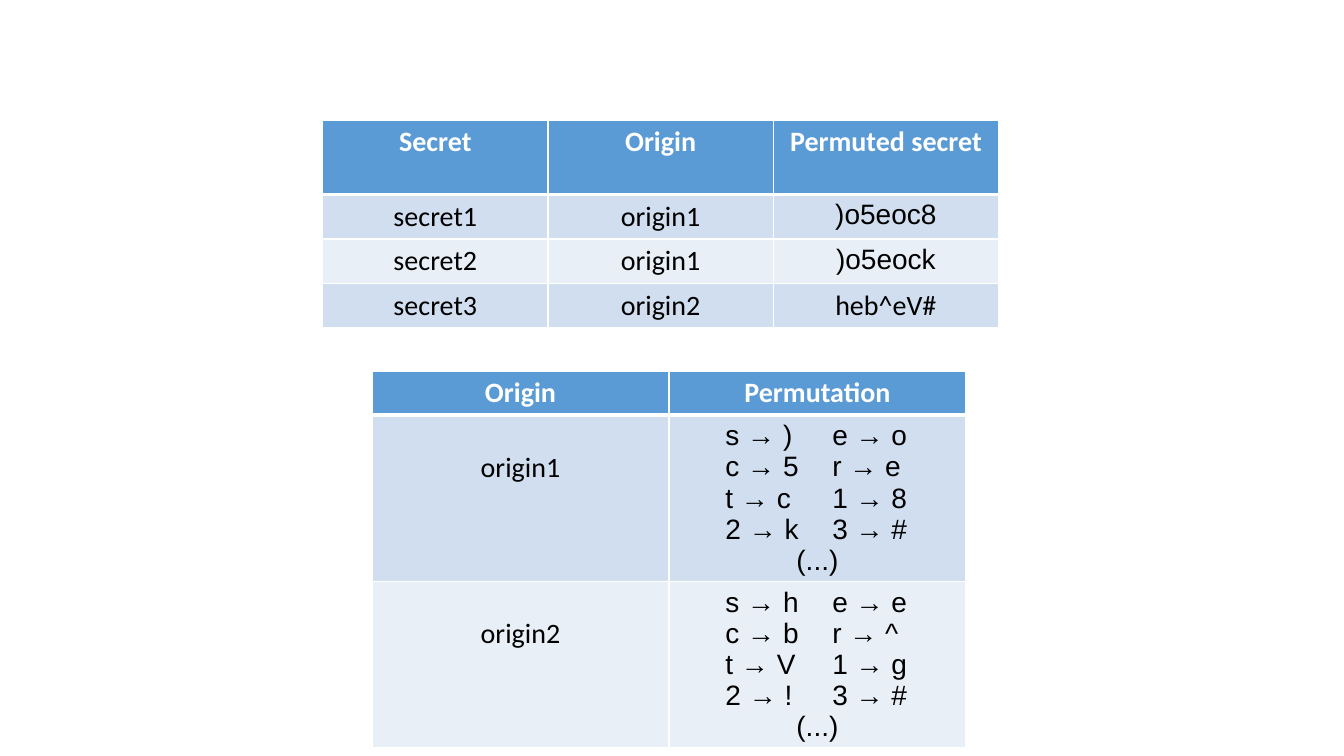
import pptx
import pptx.util
import pptx.dml.color
import pptx.enum.text
import pptx.oxml.ns
from lxml import etree

Inches, Pt = pptx.util.Inches, pptx.util.Pt
ALIGN = pptx.enum.text.PP_ALIGN
HEADER, BANDS = "5B9BD5", ("D1DEEF", "E9EFF7")
WHITE, BLACK = "FFFFFF", "000000"
BLANK_LINE = 0.3  # extra top margin of the origin names
PAIR_INSET, PAIR_TAB = 0.56, 1.06  # columns of the permutation pairs


def color(value):
    return pptx.dml.color.RGBColor.from_string(value)


def add_element(parent, tag, **attributes):
    return etree.SubElement(parent, pptx.oxml.ns.qn(tag), attributes)


presentation = pptx.Presentation()
presentation.slide_width = Inches(13.33)
presentation.slide_height = Inches(7.5)
slide = presentation.slides.add_slide(presentation.slide_layouts[6])

# Table contents; a tab separates the two pairs on a line
secrets = [
    ["Secret", "Origin", "Permuted secret"],
    ["secret1", "origin1", ")o5eoc8"],
    ["secret2", "origin1", ")o5eock"],
    ["secret3", "origin2", "heb^eV#"],
]
permutations = [
    ["Origin", "Permutation"],
    ["origin1", "s → )\te → o\nc → 5\tr → e\nt → c\t1 → 8\n2 → k\t3 → #\n(...)"],
    ["origin2", "s → h\te → e\nc → b\tr → ^\nt → V\t1 → g\n2 → !\t3 → #\n(...)"],
]
arial_texts = {")o5eoc8", ")o5eock"}

# Left, top, column width, row heights and contents of each table
tables = [
    (3.2, 1.19, 2.235, [0.74, 0.44, 0.44, 0.44], secrets),
    (3.69, 3.68, 2.945, [0.44, 1.65, 1.65], permutations),
]

for left, top, column_width, heights, rows in tables:
    frame = slide.shapes.add_table(
        len(rows), len(rows[0]), Inches(left), Inches(top),
        Inches(column_width * len(rows[0])), Inches(sum(heights)))
    table = frame.table
    for column in table.columns:
        column.width = Inches(column_width)

    for row_index, (height, texts) in enumerate(zip(heights, rows)):
        table.rows[row_index].height = Inches(height)
        is_header = row_index == 0
        for column_index, text in enumerate(texts):
            cell = table.cell(row_index, column_index)
            has_pairs = "\t" in text
            cell.text = text

            # Margins
            if has_pairs:
                cell.margin_left = cell.margin_right = Inches(PAIR_INSET)
            elif rows is permutations and not is_header:
                cell.margin_top = Inches(0.05 + BLANK_LINE)

            # Text
            font_format = {
                "size": Pt(20),
                "bold": is_header,
                "name": "Arial" if has_pairs or text in arial_texts else "Calibri",
            }
            for paragraph in cell.text_frame.paragraphs:
                if "\t" in paragraph.text:
                    paragraph.alignment = ALIGN.LEFT
                    tabs = add_element(paragraph._p.get_or_add_pPr(), "a:tabLst")
                    add_element(tabs, "a:tab", pos=str(Inches(PAIR_TAB)), algn="l")
                else:
                    paragraph.alignment = ALIGN.CENTER
                for run in paragraph.runs:
                    for name, value in font_format.items():
                        setattr(run.font, name, value)
                    run.font.color.rgb = color(WHITE if is_header else BLACK)

            # White borders, thicker between the header and the body
            properties = cell._tc.get_or_add_tcPr()
            for side in "LRTB":
                is_thick = (side == "B" and is_header) or (side == "T" and row_index == 1)
                line = add_element(properties, f"a:ln{side}",
                                   w=str(Pt(3 if is_thick else 0.96)))
                add_element(add_element(line, "a:solidFill"), "a:srgbClr", val=WHITE)

            # Banded fill
            cell.fill.solid()
            cell.fill.fore_color.rgb = color(
                HEADER if is_header else BANDS[(row_index - 1) % 2])

presentation.save("out.pptx")
